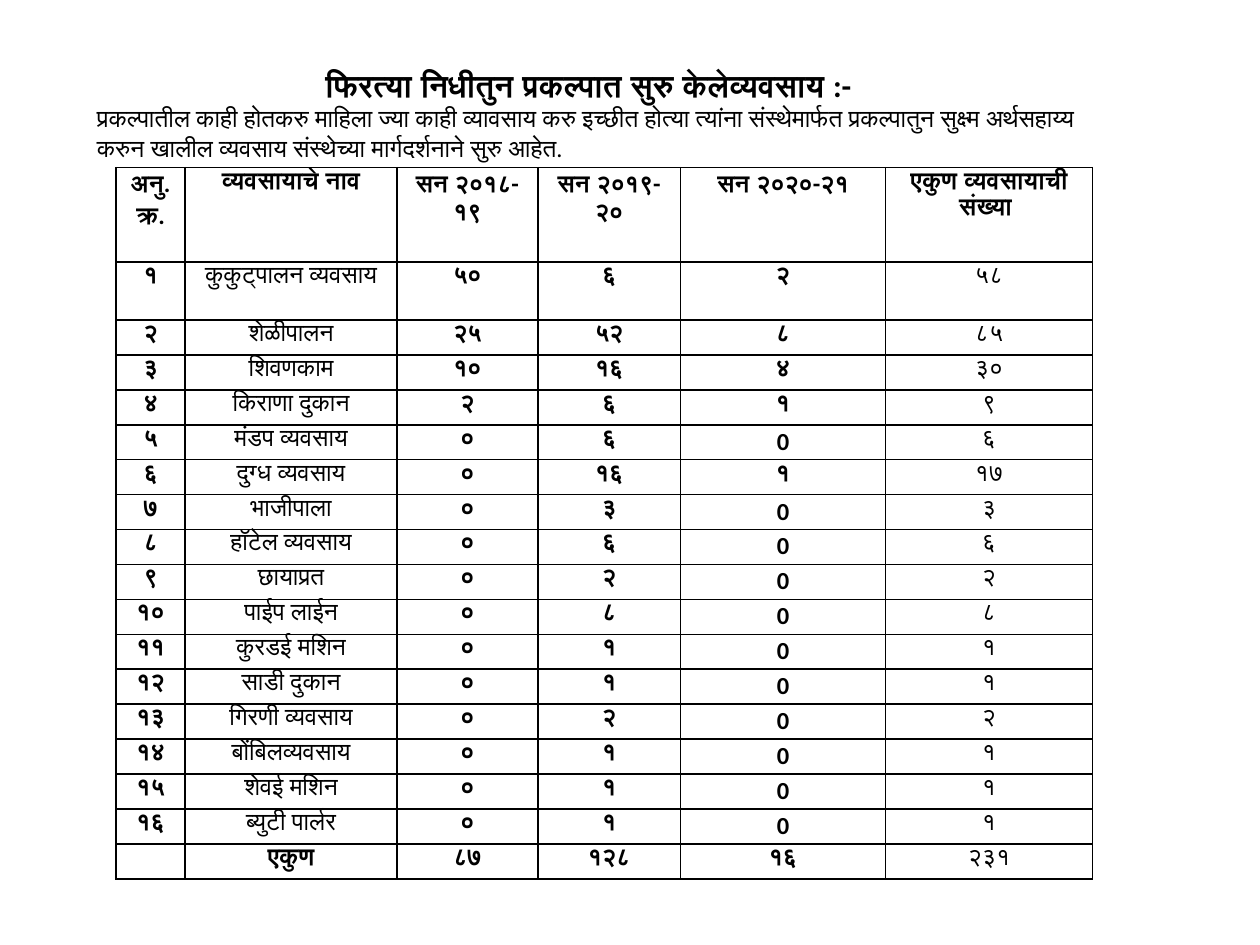
import pptx
import pptx.dml.color
import pptx.enum.text
import pptx.util
from lxml import etree
from pptx.oxml.ns import qn
from pptx.util import Inches

BLACK = "000000"
CENTER = pptx.enum.text.PP_ALIGN.CENTER
LEFT = pptx.enum.text.PP_ALIGN.LEFT


def write(frame, text, size=14, bold=False, align=CENTER, color=BLACK, line_spacing=1.0):
    paragraph = frame.paragraphs[0]
    paragraph.alignment = align
    paragraph.line_spacing = line_spacing
    if not text:  # an empty cell takes its line height from the end mark
        etree.SubElement(paragraph._p, qn("a:endParaRPr"), sz=str(size * 100))
        return
    run = paragraph.add_run()
    run.text = text
    run.font.name = "Calibri"
    run.font.size = pptx.util.Pt(size)
    run.font.bold = bold
    run.font.color.rgb = pptx.dml.color.RGBColor.from_string(color)


def add_borders(cell, color=BLACK, width=1):
    properties = cell._tc.get_or_add_tcPr()
    for side in ("a:lnL", "a:lnR", "a:lnT", "a:lnB"):
        line = etree.SubElement(properties, qn(side), w=str(pptx.util.Pt(width)))
        fill = etree.SubElement(line, qn("a:solidFill"))
        etree.SubElement(fill, qn("a:srgbClr"), val=color)


presentation = pptx.Presentation()
presentation.slide_width = Inches(10)
presentation.slide_height = Inches(7.5)
slide = presentation.slides.add_slide(presentation.slide_layouts[5])

title = slide.shapes.title
title.left, title.top = Inches(0.67), Inches(0.47)
title.width, title.height = Inches(8), Inches(0.4)
title.text_frame.auto_size = pptx.enum.text.MSO_AUTO_SIZE.NONE
title.text_frame.vertical_anchor = pptx.enum.text.MSO_ANCHOR.MIDDLE
write(title.text_frame, "फिरत्या निधीतुन प्रकल्पात सुरु केलेव्यवसाय :-", size=18, bold=True)

intro = slide.shapes.add_textbox(Inches(0.67), Inches(0.77), Inches(8), Inches(0.57))
intro.text_frame.word_wrap = True
write(
    intro.text_frame,
    "प्रकल्पातील काही होतकरु माहिला ज्या काही व्यावसाय करु इच्छीत होत्या त्यांना "
    "संस्थेमार्फत प्रकल्पातुन सुक्ष्म अर्थसहाय्य करुन खालील व्यवसाय संस्थेच्या "
    "मार्गदर्शनाने सुरु आहेत.",
    align=LEFT,
)

business_rows = [
    ("अनु.क्र.", "व्यवसायाचे नाव", "सन २०१८-१९", "सन २०१९-२०", "सन २०२०-२१",
     "एकुण व्यवसायाची संख्या "),
    ("१", "कुकुट्पालन व्यवसाय", "५०", "६", "२", "५८"),
    ("२", "शेळीपालन", "२५", "५२", "८", "८५"),
    ("३", "शिवणकाम", "१०", "१६", "४", "३०"),
    ("४", "किराणा दुकान", "२", "६", "१", "९"),
    ("५", "मंडप व्यवसाय", "०", "६", "0", "६"),
    ("६", "दुग्ध व्यवसाय", "०", "१६", "१", "१७"),
    ("७", "भाजीपाला", "०", "३", "0", "३"),
    ("८", "हॉटेल व्यवसाय", "०", "६", "0", "६"),
    ("९", "छायाप्रत", "०", "२", "0", "२"),
    ("१०", "पाईप लाईन", "०", "८", "0", "८"),
    ("११", "कुरडई मशिन", "०", "१", "0", "१"),
    ("१२", "साडी दुकान", "०", "१", "0", "१"),
    ("१३", "गिरणी व्यवसाय", "०", "२", "0", "२"),
    ("१४", "बोंबिलव्यवसाय", "०", "१", "0", "१"),
    ("१५", "शेवई मशिन", "०", "१", "0", "१"),
    ("१६", "ब्युटी पार्लर", "०", "१", "0", "१"),
    ("", "एकुण", "८७", "१२८", "१६", "२३१"),
]
column_widths = [0.55, 1.68, 1.12, 1.13, 1.63, 1.64]
table_height, header_height, first_height = 5.65, 0.75, 0.46
equal_rows = len(business_rows) - 2
equal_height = (table_height - header_height - first_height) / equal_rows
row_heights = [header_height, first_height] + [equal_height] * equal_rows
header_row, total_row = 0, len(business_rows) - 1
name_column, total_column = 1, 5

businesses = slide.shapes.add_table(
    len(business_rows), len(column_widths),
    Inches(0.92), Inches(1.33), Inches(sum(column_widths)), Inches(table_height),
).table
businesses.first_row = False
businesses.horz_banding = False
for column, width in zip(businesses.columns, column_widths):
    column.width = Inches(width)

for r, (values, height) in enumerate(zip(business_rows, row_heights)):
    businesses.rows[r].height = Inches(height)
    for c, value in enumerate(values):
        cell = businesses.cell(r, c)
        cell.margin_left = cell.margin_right = Inches(0.07)
        cell.margin_top = cell.margin_bottom = 0
        add_borders(cell)
        cell.fill.background()
        is_plain = (c == total_column and r != header_row) or (
            c == name_column and r not in (header_row, total_row))
        write(cell.text_frame, value, bold=not is_plain, line_spacing=1.07)

presentation.save("out.pptx")
